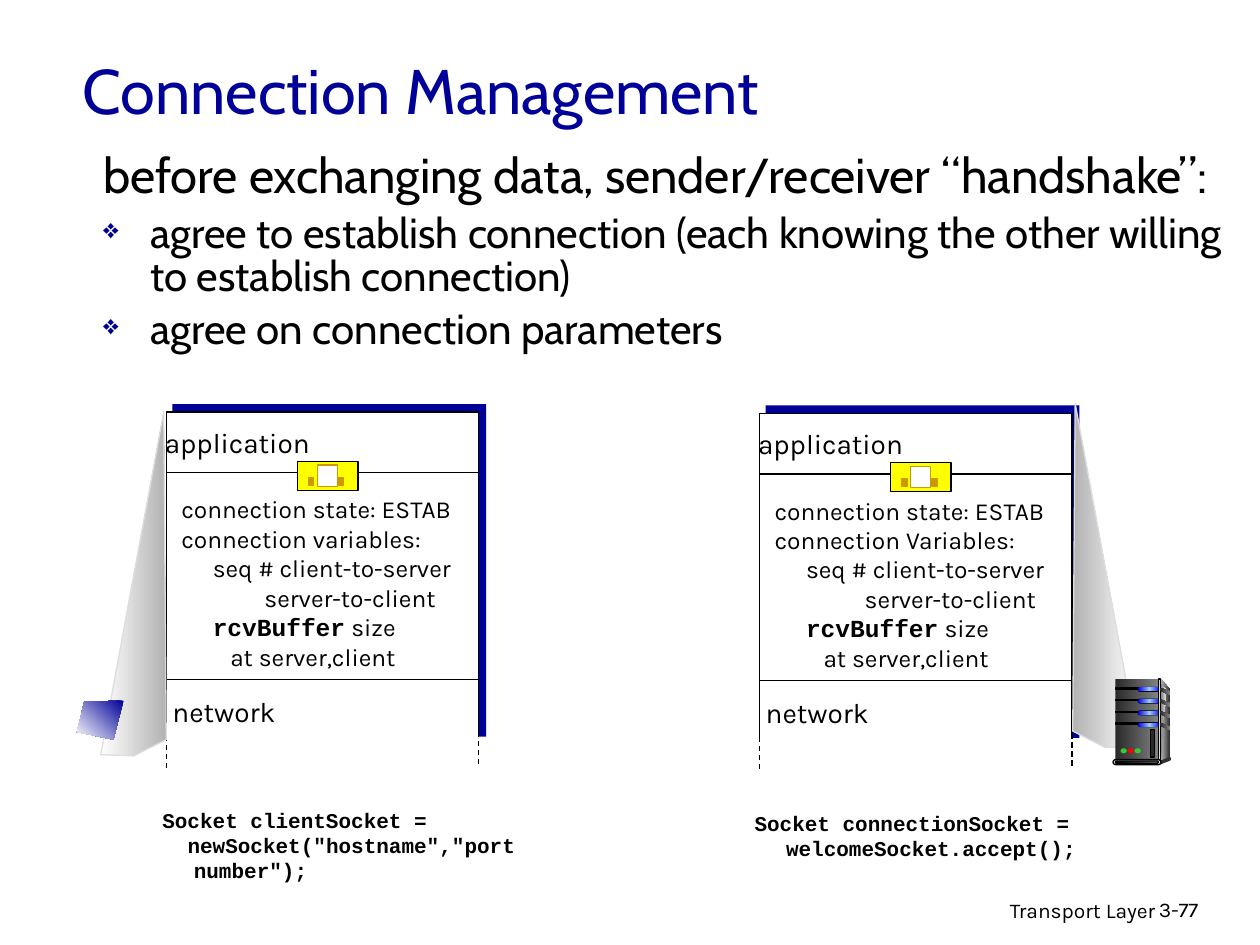
from copy import deepcopy

from lxml import etree
from pptx import Presentation
from pptx.dml.color import RGBColor
from pptx.enum.dml import MSO_LINE
from pptx.enum.shapes import MSO_CONNECTOR, MSO_SHAPE
from pptx.enum.text import MSO_ANCHOR, PP_ALIGN
from pptx.oxml.ns import qn
from pptx.util import Pt

RECTANGLE = MSO_SHAPE.RECTANGLE
ROUNDED = MSO_SHAPE.ROUNDED_RECTANGLE
OVAL = MSO_SHAPE.OVAL
STRAIGHT = MSO_CONNECTOR.STRAIGHT
DASH = MSO_LINE.DASH
LEFT, CENTER, RIGHT = PP_ALIGN.LEFT, PP_ALIGN.CENTER, PP_ALIGN.RIGHT
TOP, MIDDLE = MSO_ANCHOR.TOP, MSO_ANCHOR.MIDDLE

HEADING, BODY, CODE = "Cabin", "Karla", "Courier New"
COLORS = {
    "navy": "000099", "black": "000000", "white": "FFFFFF", "yellow": "FFFF00",
    "gold": "CC9900", "silver": "B2B2B2", "pale": "DDDDDD", "gray": "808080",
    "charcoal": "292929", "dark": "333333", "frost": "F8F8F8", "blue": "0000FF",
    "sky": "99CCFF", "green": "33CC33", "red": "FF0000",
}


def color(name):
    return RGBColor.from_string(COLORS[name])


class SlideBuilder:
    def __init__(self, slide):
        self.slide = slide
        self.shapes = slide.shapes

    def start_group(self):
        self.shapes = self.slide.shapes.add_group_shape().shapes

    def end_group(self):
        self.shapes = self.slide.shapes

    def paint(self, shape, fill, line=None, angle=0):
        shape.shadow.inherit = False
        if isinstance(fill, str):
            shape.fill.solid()
            shape.fill.fore_color.rgb = color(fill)
        else:
            shape.fill.gradient()
            shape.fill.gradient_angle = angle
            stop_list = next(shape._element.iter(qn("a:gsLst")))
            while len(stop_list) < len(fill):
                stop_list.append(deepcopy(stop_list[-1]))
            for index, name in enumerate(fill):
                stop = shape.fill.gradient_stops[index]
                stop.position = index / (len(fill) - 1)
                stop.color.rgb = color(name)
        if line:
            shape.line.color.rgb = color(line)
            shape.line.width = Pt(0.75)
        else:
            shape.line.fill.background()

    def shape(self, box, fill, line=None, kind=RECTANGLE):
        shape = self.shapes.add_shape(kind, *map(Pt, box))
        if kind == ROUNDED:
            shape.adjustments[0] = 0.5
        self.paint(shape, fill, line)

    def polygon(self, points, fill, line=None, angle=0):
        corners = [(Pt(x), Pt(y)) for x, y in points]
        builder = self.shapes.build_freeform(*corners[0])
        builder.add_line_segments(corners[1:], close=True)
        self.paint(builder.convert_to_shape(), fill, line, angle)

    def line(self, start, end, dash=None):
        connector = self.shapes.add_connector(STRAIGHT, *map(Pt, (*start, *end)))
        connector.line.color.rgb = color("black")
        connector.line.width = Pt(0.75)
        if dash:
            connector.line.dash_style = dash
        etree.SubElement(connector._element.spPr, qn("a:effectLst"))

    def text(self, box, paragraphs, size, font=BODY, ink="black", bold=False,
             align=LEFT, anchor=TOP, wrap=True):
        frame = self.shapes.add_textbox(*map(Pt, box)).text_frame
        frame.word_wrap = wrap
        frame.vertical_anchor = anchor
        for index, (content, options) in enumerate(paragraphs):
            paragraph = frame.paragraphs[0] if index == 0 else frame.add_paragraph()
            paragraph.alignment = align
            self.indent(paragraph, options)
            paragraph.font.size = Pt(options.get("size", size))
            paragraph.font.color.rgb = color(ink)
            if isinstance(content, str):
                paragraph.font.name = font
                paragraph.font.bold = bold
                paragraph.add_run().text = content
                continue
            for words, run_font, run_bold in content:
                run = paragraph.add_run()
                run.text = words
                run.font.name = run_font
                run.font.bold = run_bold

    def indent(self, paragraph, options):
        properties = paragraph._p.get_or_add_pPr()
        properties.set("marL", str(Pt(options.get("left", 0))))
        properties.set("indent", str(Pt(options.get("first", 0))))
        if "spacing" in options:
            paragraph.line_spacing = options["spacing"]
        if "before" in options:
            paragraph.space_before = Pt(options["before"])
        if "bullet" in options:
            tint = etree.SubElement(properties, qn("a:buClr"))
            etree.SubElement(tint, qn("a:srgbClr"), val=COLORS["navy"])
            etree.SubElement(properties, qn("a:buSzPct"), val="65000")
            etree.SubElement(properties, qn("a:buChar"), char=options["bullet"])

    def host(self, x, y, variables, second_indent):
        self.shape((x + 3.5, y - 4.5, 179.3, 190), "navy")
        self.shape((x, y, 178.6, 194.4), "white", "black")
        for offset in (34.6, 152.6):
            self.line((x, y + offset), (x + 178.6, y + offset))
        buffer_size = [("rcvBuffer", CODE, True), (" size", BODY, False)]
        self.text((x + 1.5, y + 43.5, 183.6, 125.3), [
            ("connection state: ESTAB", {}),
            (variables, {}),
            ("seq # client-to-server", {"left": 18}),
            ("server-to-client", {"left": second_indent}),
            (buffer_size, {"left": 18}),
            ("at server,client", {"left": 28}),
        ], 14)
        self.start_group()
        self.shape((x + 74.9, y + 28.1, 34.6, 16.6), "yellow", "black")
        self.shape((x + 86.4, y + 30.2, 11.5, 12.2), "white", "gold")
        for offset in (81.4, 98.6):
            self.shape((x + offset, y + 37.4, 2.9, 4.3), "gold", "gold")
        self.end_group()
        for label, left, top, width in (("application", -7.9, 4.3, 97),
                                        ("network", -5, 157.7, 76)):
            self.text((x + left, y + top, width, 26.6), [(label, {})], 16,
                      align=CENTER, wrap=False)
        self.shape((x - 2.2, y + 185.8, 183.6, 14.4), "white")
        for offset, top in ((0, 185), (178.6, 182.9)):
            self.line((x + offset, y + top), (x + offset, y + top + 18.7), DASH)

    def server(self, x, y):
        def side(fill, *points):
            self.polygon([(x + across, y + down) for across, down in points], fill)

        def block(box, fill, line=None, kind=RECTANGLE):
            left, top, width, height = box
            self.shape((x + left, y + top, width, height), fill, line, kind)

        self.start_group()
        side(("pale", "dark"), (27.4, 0), (32.4, 5.8), (32.4, 44.6), (25.9, 46.8))
        block((1.4, 0, 24.5, 46.8), ("charcoal", "gray"))
        side(("gray", "frost"), (27.4, 2.9), (31, 6.5), (28.5, 24), (27.4, 45.4))
        bay_tops = [4.5 + 6.7 * row for row in range(4)]
        for top in bay_tops:
            block((1.6, top + 0.6, 13.7, 0.7), "black", "black")
            block((14, top, 13.7, 2.9), "black", kind=ROUNDED)
            block((14.4, top + 0.3, 13, 2.3), ("blue", "sky", "blue"), kind=ROUNDED)
        block((25.9, 0, 1.4, 46.8), ("dark", "pale", "dark"), "black")
        for top in bay_tops:
            side(("charcoal", "gray"), (27, top + 0.4), (32.4, top + 2.6),
                 (32.4, top + 4.6), (27, top + 2.2))
        block((31.7, 44.6, 1.4, 2.2), "dark", kind=OVAL)
        side("dark", (26.6, 46.8), (26.6, 49), (32.4, 46.8), (32.4, 44.6))
        block((0, 46.1, 27.4, 2.9), "pale", "black", ROUNDED)
        block((1.4, 46.8, 24.5, 1.4), ("black", "gray"), "black", ROUNDED)
        for index, lamp in enumerate(("green", "red", "green")):
            block((4.3 + 4 * index, 39.6, 3.6, 2.9), lamp, kind=OVAL)
        block((21.6, 28.8, 2.2, 15.8), "charcoal", "black")
        self.end_group()


def main():
    presentation = Presentation()
    presentation.slide_width, presentation.slide_height = Pt(720), Pt(540)
    builder = SlideBuilder(presentation.slides.add_slide(presentation.slide_layouts[6]))

    builder.text((439.2, 509.5, 228.2, 22.3), [("Transport Layer", {})], 12, align=RIGHT)
    builder.text((655.2, 509, 53.3, 21.6), [("3-77", {})], 12)
    builder.text((40.3, 15.1, 612, 72), [("Connection Management", {})], 36,
                 HEADING, "navy", anchor=MIDDLE)
    hanging = {"left": 27, "first": -27, "spacing": 0.85}
    bullet = {**hanging, "before": 6, "bullet": "❖"}
    builder.text((51.8, 84.2, 656.6, 172), [
        ("before exchanging data, sender/receiver “handshake”:", {**hanging, "size": 28}),
        ("agree to establish connection (each knowing the other willing "
         "to establish connection)", bullet),
        ("agree on connection parameters", bullet),
    ], 24, HEADING)

    cone = [(57.6, 431.3), (93.6, 235.4), (95, 422.6), (76.3, 432)]
    mirrored_cone = [(708 - x, y - 4.8) for x, y in cone]
    builder.host(95, 235.5, "connection variables:", 47.5)
    builder.polygon(cone, ("white", "silver"), "pale")
    builder.host(434, 236.2, "connection Variables:", 51.5)
    builder.polygon(mirrored_cone, ("silver", "white"), "pale")

    code_indent = {"left": 18, "first": -18}
    builder.text((85.7, 457.9, 227.5, 50.4), [
        ("Socket clientSocket =", code_indent),
        ('newSocket("hostname","port number");', {"left": 18, "first": -3.6}),
    ], 12, CODE, bold=True)
    builder.text((424.1, 459.4, 227.5, 36), [
        ("Socket connectionSocket = welcomeSocket.accept();", code_indent),
    ], 12, CODE, bold=True)

    screen = [(70.6, 400.3), (48.2, 401), (43.9, 418.3), (64.8, 422.6)]
    builder.polygon(screen, ("navy", "white"), angle=225)
    builder.server(636, 388)
    presentation.save("out.pptx")


if __name__ == "__main__":
    main()
